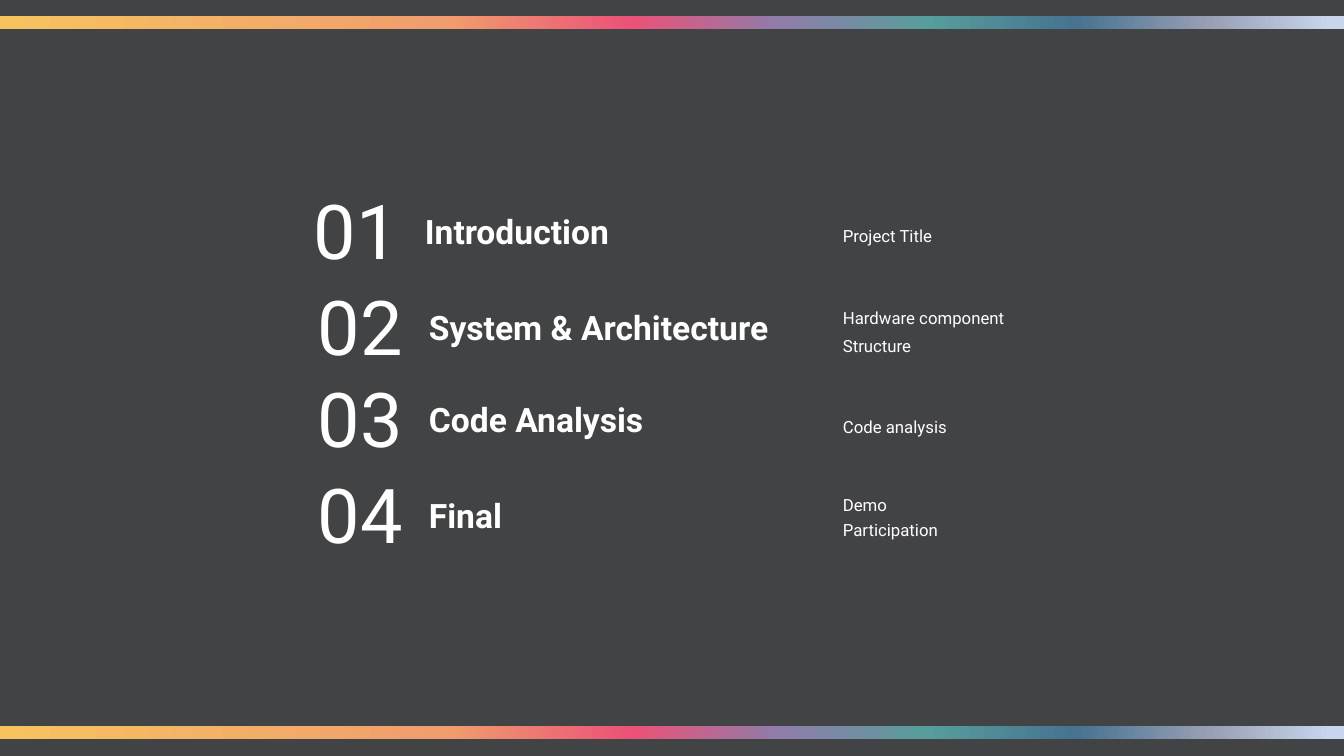
from collections import namedtuple
from dataclasses import dataclass

from lxml import etree
from pptx import Presentation
from pptx import util as u
from pptx.dml.color import RGBColor
from pptx.enum import shapes, text
from pptx.oxml.ns import qn

EMU_PER_PX = 914400 / 100.8
SLIDE_W, SLIDE_H = 1344, 756

Box = namedtuple("Box", "left top width height")
Section = namedtuple("Section", "number heading details left top detail_offsets")


@dataclass(frozen=True)
class Theme:
    font: str = "Roboto"
    background: str = "424344"
    ink: str = "FFFFFF"
    number_size: int = 54
    heading_size: int = 24
    detail_size: int = 12
    # (percent along the band, colour)
    band: tuple = (
        (0, "F6C35F"), (33, "F09E6D"), (47, "EB5278"), (58, "8F7CA9"),
        (69, "579D9B"), (80, "467391"), (90, "999FB5"), (99, "C7D5ED"),
    )


THEME = Theme()

# Detail offsets are measured down from the top of each section.
SECTIONS = (
    Section("01", "Introduction", ["Project Title"], 298, 179, [42]),
    Section("02", "System & Architecture", ["Hardware component", "Structure"],
            302, 275, [28, 56]),
    Section("03", "Code Analysis", ["Code analysis"], 302, 367, [45]),
    Section("04", "Final", ["Demo", "Participation"], 302, 463, [27, 52]),
)
DETAIL_LEFT = 833


def px(length):
    return u.Emu(round(length * EMU_PER_PX))


def place(box):
    return [px(length) for length in box]


def add_label(slide, box, wording, size, bold=False, align=text.PP_ALIGN.LEFT):
    frame = slide.shapes.add_textbox(*place(box)).text_frame
    frame.word_wrap = True
    frame.auto_size = text.MSO_AUTO_SIZE.SHAPE_TO_FIT_TEXT
    line = frame.paragraphs[0]
    line.alignment = align
    run = line.add_run()
    run.text = wording
    formats = {"name": THEME.font, "size": u.Pt(size), "bold": bold}
    for attribute, value in formats.items():
        setattr(run.font, attribute, value)
    run.font.color.rgb = RGBColor.from_string(THEME.ink)


def add_band(slide, box):
    """Draw a rainbow stripe running from left to right."""
    band = slide.shapes.add_shape(shapes.MSO_SHAPE.RECTANGLE, *place(box))
    band.shadow.inherit = False
    band.line.fill.background()
    band.fill.gradient()
    band.fill.gradient_angle = 0
    stops = band.fill._fill._gradFill.find(qn("a:gsLst"))
    for default_stop in list(stops):
        stops.remove(default_stop)
    for percent, colour in THEME.band:
        stop = etree.SubElement(stops, qn("a:gs"), pos=str(percent * 1000))
        etree.SubElement(stop, qn("a:srgbClr"), val=colour)


def add_section(slide, section, box):
    """Place number and heading from the left of the box, details at its right."""
    add_label(slide, Box(box.left, box.top, 117, box.height),
              section.number, THEME.number_size, align=text.PP_ALIGN.CENTER)
    add_label(slide, Box(box.left + 117, box.top + 27, 380, 50),
              section.heading, THEME.heading_size, bold=True)
    detail_width = box.left + box.width - DETAIL_LEFT
    for detail, offset in zip(section.details, section.detail_offsets):
        add_label(slide, Box(DETAIL_LEFT, box.top + offset, detail_width, 30),
                  detail, THEME.detail_size)


def build_agenda(slide):
    slide.background.fill.solid()
    slide.background.fill.fore_color.rgb = RGBColor.from_string(THEME.background)
    for top in (16, 726):
        add_band(slide, Box(0, top, SLIDE_W, 13))
    for section in SECTIONS:
        width = DETAIL_LEFT + 264 - section.left
        add_section(slide, section, Box(section.left, section.top, width, 102))


def main():
    deck = Presentation()
    deck.slide_width, deck.slide_height = px(SLIDE_W), px(SLIDE_H)
    blank = deck.slide_layouts[6]
    build_agenda(deck.slides.add_slide(blank))
    deck.save("out.pptx")


if __name__ == "__main__":
    main()
